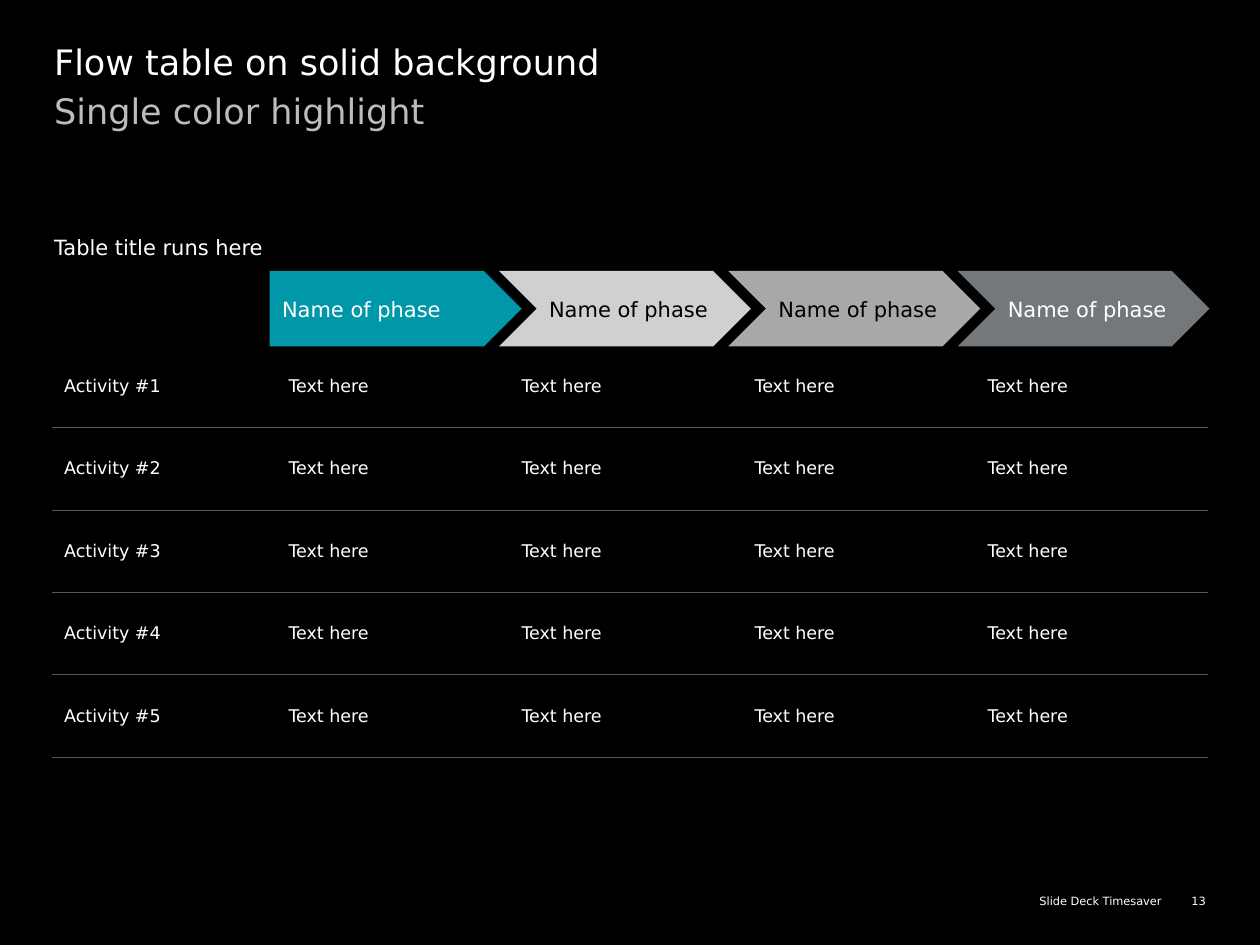
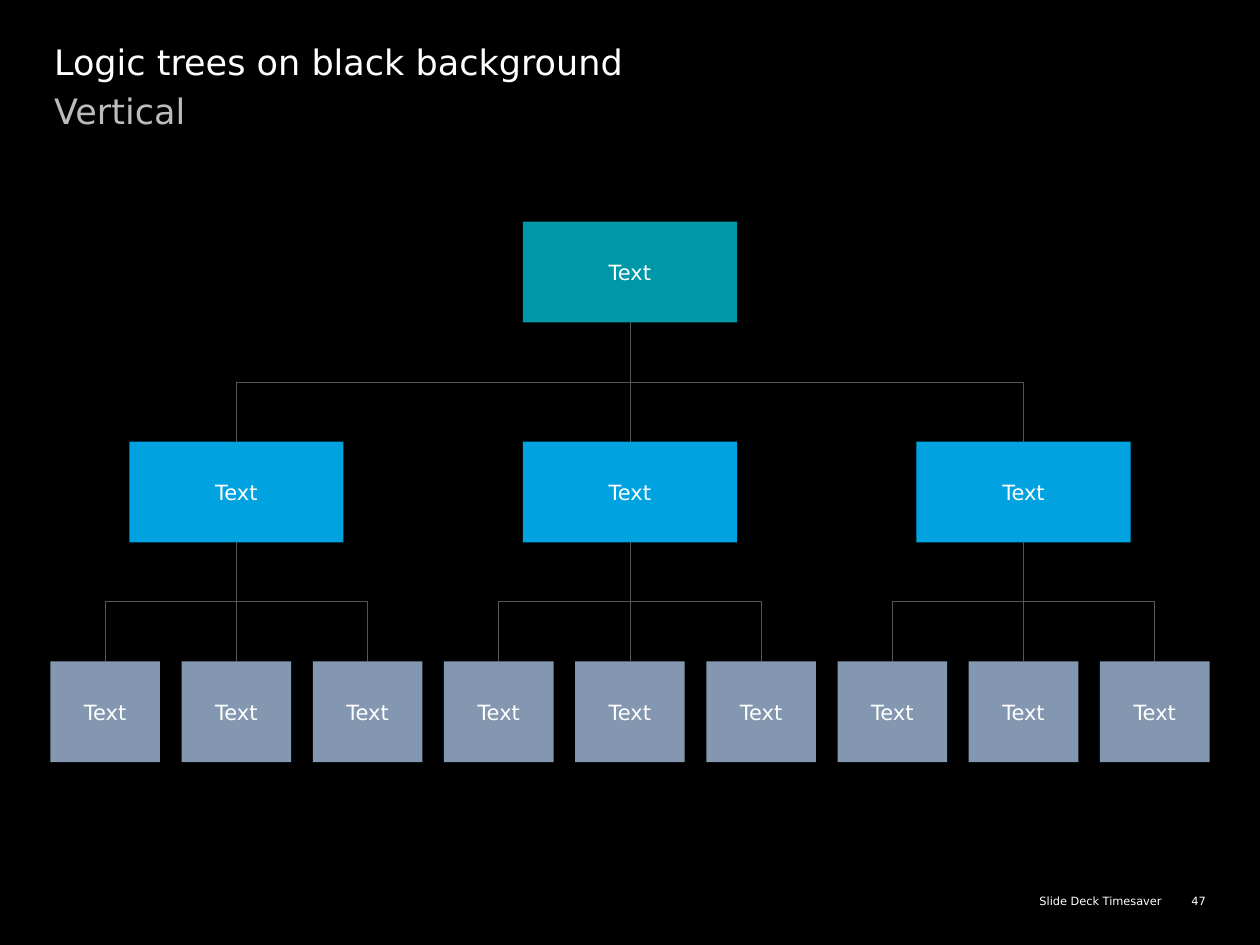
from lxml import etree
from pptx import Presentation
from pptx.dml.color import RGBColor
from pptx.enum.shapes import MSO_CONNECTOR as LINK, MSO_SHAPE as SHAPE
from pptx.enum.text import MSO_ANCHOR as ANCHOR, PP_ALIGN as ALIGN
from pptx.oxml.ns import qn
from pptx.util import Inches, Pt

FONT = "DejaVu Sans"
BLACK, WHITE = "000000", "FFFFFF"
RULE, SUBTITLE, TEAL = "53565A", "BBBCBC", "0097A9"
RULE_WIDTH = Pt(0.5)
NO_STYLE_NO_GRID = "{2D5ABB26-0587-4C30-8999-92F81FD0307C}"


def rgb(value):
    return RGBColor.from_string(value)


def write(frame, text, size, color=WHITE, align=ALIGN.LEFT):
    paragraph = frame.paragraphs[0]
    paragraph.alignment = align
    run = paragraph.add_run()
    run.text = text
    run.font.name, run.font.size = FONT, Pt(size)
    run.font.color.rgb = rgb(color)


def set_frame(frame, margin, anchor, **changes):
    values = dict(margin_left=margin, margin_top=margin, margin_right=margin,
                  margin_bottom=margin, vertical_anchor=anchor, word_wrap=True)
    for name, value in {**values, **changes}.items():
        setattr(frame, name, value)


def add_label(slide, box, text, size, color=WHITE, align=ALIGN.LEFT):
    frame = slide.shapes.add_textbox(*map(Inches, box)).text_frame
    set_frame(frame, 0, ANCHOR.TOP)
    write(frame, text, size, color, align)


def add_block(slide, kind, box, fill, text, color=WHITE, align=ALIGN.LEFT, **changes):
    block = slide.shapes.add_shape(kind, *map(Inches, box))
    block.shadow.inherit = False
    block.fill.solid()
    block.fill.fore_color.rgb = rgb(fill)
    block.line.fill.background()
    set_frame(block.text_frame, Inches(0.1), ANCHOR.MIDDLE, **changes)
    write(block.text_frame, text, 12, color, align)
    return block


def add_base_slide(deck, title, subtitle, number):
    slide = deck.slides.add_slide(deck.slide_layouts[6])
    slide.background.fill.solid()
    slide.background.fill.fore_color.rgb = rgb(BLACK)
    # Footer
    add_label(slide, (5.2, 7.1, 4.02, 0.11), "Slide Deck Timesaver", 6.5, align=ALIGN.RIGHT)
    add_label(slide, (9.19, 7.1, 0.38, 0.36), number, 6.5, align=ALIGN.RIGHT)
    # Heading
    add_label(slide, (0.43, 0.71, 9.13, 0.83), subtitle, 20, SUBTITLE)
    add_label(slide, (0.43, 0.32, 9.13, 0.51), title, 20)
    return slide


# Flow table

def add_phases(slide, box):
    left, top, width, height = box
    phases = [(TEAL, WHITE), ("D0D0CE", BLACK), ("A7A8AA", BLACK), ("75787B", WHITE)]
    phase_width = 2
    pitch = (width - phase_width) / (len(phases) - 1)
    for i, (fill, color) in enumerate(phases):
        kind, changes = (SHAPE.CHEVRON, {"margin_right": 0}) if i else (SHAPE.PENTAGON, {})
        add_block(slide, kind, (left + i * pitch, top, phase_width, height),
                  fill, "Name of phase", color, **changes)


def underline(cell):
    border = etree.Element(qn("a:lnB"), w=str(RULE_WIDTH))
    fill = etree.SubElement(border, qn("a:solidFill"))
    etree.SubElement(fill, qn("a:srgbClr"), val=RULE)
    cell._tc.get_or_add_tcPr().insert(0, border)


def add_activities(slide, box):
    rows = [[f"Activity #{n}"] + ["Text here"] * 4 for n in range(1, 6)]
    frame = slide.shapes.add_table(len(rows), len(rows[0]), *map(Inches, box))
    table = frame.table
    table.first_row = table.horz_banding = False
    table._tbl.tblPr.find(qn("a:tableStyleId")).text = NO_STYLE_NO_GRID
    name_width = 1.78
    for i, column in enumerate(table.columns):
        column.width = Inches((box[2] - name_width) / 4 if i else name_width)
    for r, row in enumerate(rows):
        for c, text in enumerate(row):
            cell = table.cell(r, c)
            cell.fill.background()
            underline(cell)
            for side in ("left", "top", "right", "bottom"):
                setattr(cell, f"margin_{side}", Inches(0.1))
            cell.vertical_anchor = ANCHOR.MIDDLE
            write(cell.text_frame, text, 10)


def add_flow_slide(deck):
    slide = add_base_slide(deck, "Flow table on solid background",
                           "Single color highlight", "13")
    add_label(slide, (0.43, 1.86, 9.13, 0.39), "Table title runs here", 12)
    add_activities(slide, (0.41, 2.74, 9.18, 3.27))
    add_phases(slide, (2.14, 2.15, 7.46, 0.6))


# Logic tree

def turn_elbow(link, start, end):
    """Make an elbow leave its parent downwards: a quarter turn about its middle."""
    (x1, y1), (x2, y2) = start, end
    width, height = y2 - y1, abs(x2 - x1)
    place = dict(left=(x1 + x2 - width) // 2, top=(y1 + y2 - height) // 2,
                 width=width, height=height)
    for name, value in place.items():
        setattr(link, name, value)
    to_right = x2 > x1
    turn = {"rot": str((270 if to_right else 90) * 60000),
            "flipH": str(int(to_right)), "flipV": "0"}
    for name, value in turn.items():
        link._element.spPr.find(qn("a:xfrm")).set(name, value)


def join(slide, parent, child):
    start = parent.left + parent.width // 2, parent.top + parent.height
    end = child.left + child.width // 2, child.top
    straight = abs(start[0] - end[0]) < Inches(0.01)
    link = slide.shapes.add_connector(LINK.STRAIGHT if straight else LINK.ELBOW,
                                      *start, *end)
    link.begin_connect(parent, 2)
    link.end_connect(child, 0)
    if not straight:
        turn_elbow(link, start, end)
    link.line.width = RULE_WIDTH
    link.line.color.rgb = rgb(RULE)
    etree.SubElement(link._element.spPr, qn("a:effectLst"))


def add_tree(slide, box):
    left, top, width, height = box
    node_height, node_width, leaf_width = 0.8, 1.7, 0.87
    level_pitch = (height - node_height) / 2
    leaf_pitch = (width - leaf_width) / 8

    def add_node(level, position, node_width, fill):
        center = left + leaf_width / 2 + position * leaf_pitch
        node_box = (center - node_width / 2, top + level * level_pitch,
                    node_width, node_height)
        return add_block(slide, SHAPE.RECTANGLE, node_box, fill, "Text",
                         align=ALIGN.CENTER)

    # Each parent stands above the middle one of its three children
    root = add_node(0, 4, node_width, TEAL)
    for middle in (1, 4, 7):
        branch = add_node(1, middle, node_width, "00A3E0")
        join(slide, root, branch)
        for position in range(middle - 1, middle + 2):
            join(slide, branch, add_node(2, position, leaf_width, "8497B0"))


def add_tree_slide(deck):
    slide = add_base_slide(deck, "Logic trees on black background", "Vertical", "47")
    add_tree(slide, (0.4, 1.76, 9.2, 4.29))


def main():
    deck = Presentation()
    deck.slide_width, deck.slide_height = Inches(10), Inches(7.5)
    add_flow_slide(deck)
    add_tree_slide(deck)
    deck.save("out.pptx")


if __name__ == "__main__":
    main()
